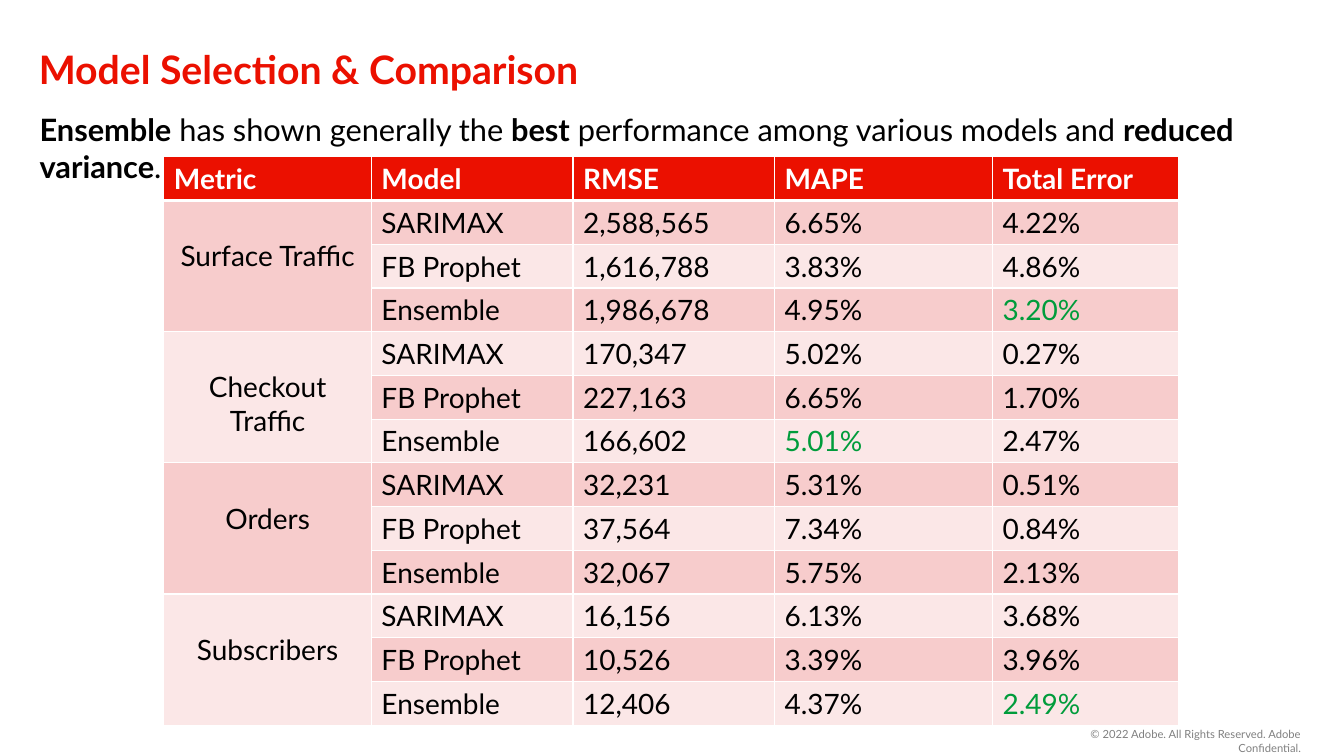
"""Build the model comparison slide."""
from lxml import etree
from pptx import Presentation
from pptx.dml.color import RGBColor
from pptx.enum.text import MSO_ANCHOR, PP_ALIGN
from pptx.oxml.ns import qn
from pptx.util import Cm, Pt

LEFT, MID, RIGHT = PP_ALIGN.LEFT, PP_ALIGN.CENTER, PP_ALIGN.RIGHT
TOP, CENTER = MSO_ANCHOR.TOP, MSO_ANCHOR.MIDDLE

RED = RGBColor(0xEB, 0x10, 0x00)
ROSE = RGBColor(0xF7, 0xCC, 0xCC)
BLUSH = RGBColor(0xFB, 0xE7, 0xE7)
GREEN = RGBColor(0x00, 0x9C, 0x3B)
GRAY = RGBColor(0x80, 0x80, 0x80)
BLACK = RGBColor(0, 0, 0)
WHITE = RGBColor(0xFF, 0xFF, 0xFF)

HEADS = ["Metric", "Model", "RMSE", "MAPE", "Total Error"]
MODELS = ["SARIMAX", "FB Prophet", "Ensemble"]
SCORES = {
    "Surface Traffic": [
        ("2,588,565", "6.65%", "4.22%"),
        ("1,616,788", "3.83%", "4.86%"),
        ("1,986,678", "4.95%", "3.20%"),
    ],
    "Checkout Traffic": [
        ("170,347", "5.02%", "0.27%"),
        ("227,163", "6.65%", "1.70%"),
        ("166,602", "5.01%", "2.47%"),
    ],
    "Orders": [
        ("32,231", "5.31%", "0.51%"),
        ("37,564", "7.34%", "0.84%"),
        ("32,067", "5.75%", "2.13%"),
    ],
    "Subscribers": [
        ("16,156", "6.13%", "3.68%"),
        ("10,526", "3.39%", "3.96%"),
        ("12,406", "4.37%", "2.49%"),
    ],
}
BEST = {"3.20%", "5.01%", "2.49%"}
WIDTHS = [5.23, 5.08, 5.08, 5.49, 4.7]
CLAIM = [
    ("Ensemble", True),
    (" has shown generally the ", False),
    ("best", True),
    (" performance among various models and ", False),
    ("reduced variance", True),
    (".", False),
]


def write(frame, runs, size=20, color=BLACK, align=LEFT, face="Lato"):
    para = frame.paragraphs[0]
    para.alignment = align
    for text, bold in runs:
        run = para.add_run()
        run.text = text
        font = run.font
        font.name, font.size, font.bold = face, Pt(size), bold
        font.color.rgb = color


class Deck:
    def __init__(self):
        self.show = Presentation()
        self.show.slide_width, self.show.slide_height = Cm(33.87), Cm(19.05)
        self.slide = self.show.slides.add_slide(self.show.slide_layouts[6])

    def text(self, box, runs, inset=0.13, anchor=TOP, **style):
        frame = self.slide.shapes.add_textbox(*map(Cm, box)).text_frame
        frame.word_wrap = True
        frame.vertical_anchor = anchor
        frame.margin_left = frame.margin_right = Cm(inset)
        frame.margin_top = frame.margin_bottom = Cm(0.13)
        write(frame, runs, **style)

    def edge(self, cell, side, width):
        line = etree.SubElement(cell._tc.get_or_add_tcPr(), qn(f"a:ln{side}"), w=str(Pt(width)))
        fill = etree.SubElement(line, qn("a:solidFill"))
        etree.SubElement(fill, qn("a:srgbClr"), val=str(WHITE))

    def table(self, left, top, widths, height, rows):
        shape = self.slide.shapes.add_table(
            rows, len(widths), Cm(left), Cm(top), Cm(sum(widths)), Cm(height * rows))
        grid = shape.table
        for col, width in zip(grid.columns, widths):
            col.width = Cm(width)
        for y, row in enumerate(grid.rows):
            row.height = Cm(height)
            for cell in row.cells:
                for side in "LRTB":
                    thick = (y, side) in ((0, "B"), (1, "T"))
                    self.edge(cell, side, 3 if thick else 1)
                cell.fill.solid()
                cell.fill.fore_color.rgb = RED if y == 0 else ROSE if y % 2 else BLUSH
        return grid

    def scores(self, grid):
        for x, head in enumerate(HEADS):
            write(grid.cell(0, x).text_frame, [(head, True)], color=WHITE)
        step = len(MODELS)
        for i, (name, block) in enumerate(SCORES.items()):
            first = 1 + i * step
            cell = grid.cell(first, 0)
            cell.merge(grid.cell(first + step - 1, 0))
            cell.margin_top = Cm(0.97)
            write(cell.text_frame, [(name, False)], align=MID)
            for y, (model, values) in enumerate(zip(MODELS, block), first):
                for x, value in enumerate((model, *values), 1):
                    color = GREEN if value in BEST else BLACK
                    write(grid.cell(y, x).text_frame, [(value, False)], color=color)


def main():
    deck = Deck()
    deck.text((25.83, 18.21, 7.21, 0.76),
              [("© 2022 Adobe. All Rights Reserved. Adobe Confidential.", False)],
              inset=0.25, size=8, color=GRAY, align=RIGHT)
    deck.text((0.85, 0.79, 32.16, 1.88), [("Model Selection & Comparison", True)],
              anchor=CENTER, size=28, color=RED)
    deck.scores(deck.table(4.13, 3.95, WIDTHS, 1.1, 1 + len(MODELS) * len(SCORES)))
    deck.text((0.87, 2.67, 32.14, 13.67), CLAIM, size=22)
    deck.show.save("out.pptx")


if __name__ == "__main__":
    main()
